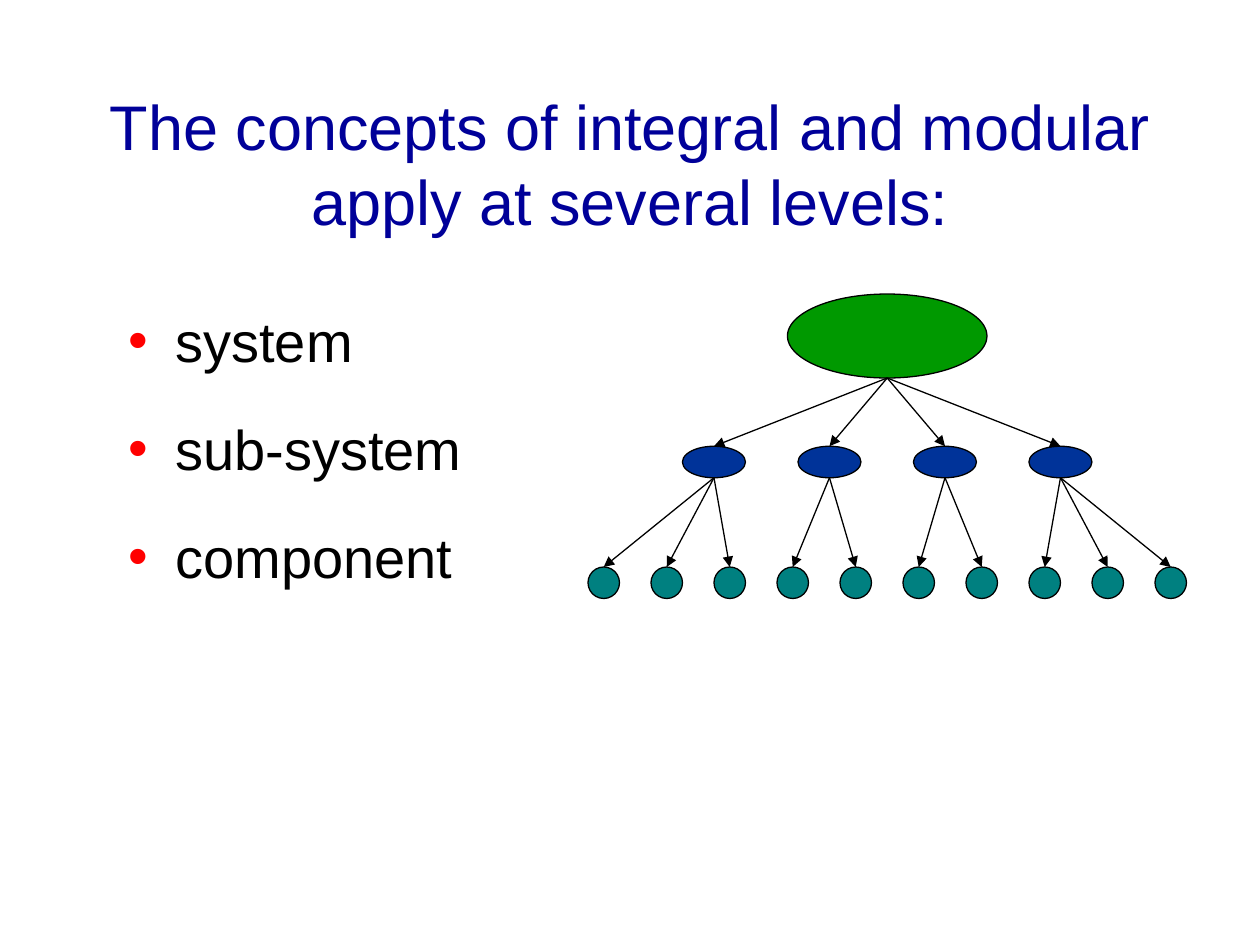
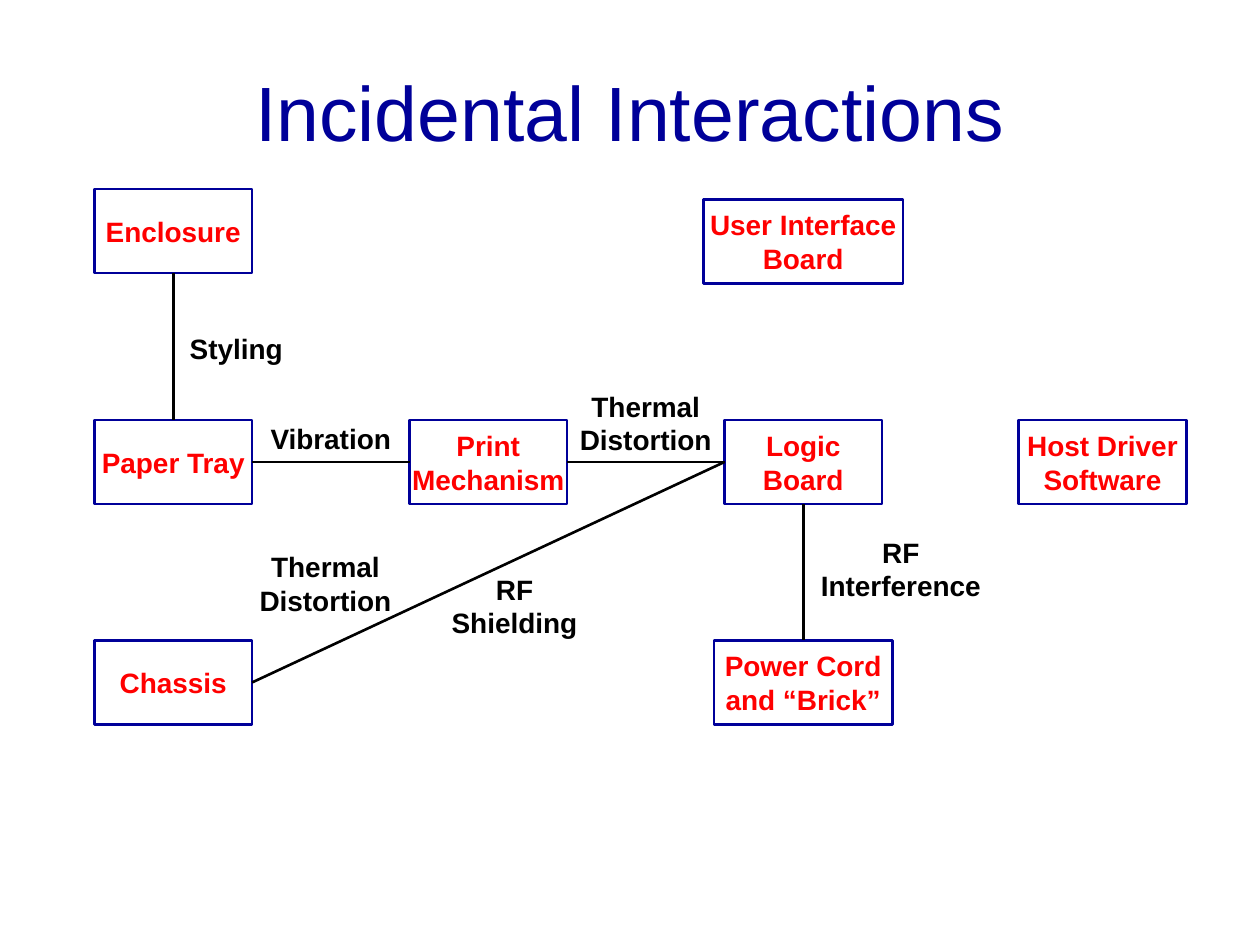
from dataclasses import dataclass
from itertools import count
from typing import Any, NamedTuple

from lxml.etree import SubElement
from pptx import Presentation
from pptx.dml.color import RGBColor
from pptx.enum.shapes import MSO_CONNECTOR, MSO_SHAPE
from pptx.enum.text import MSO_ANCHOR, MSO_AUTO_SIZE, PP_ALIGN
from pptx.oxml.ns import qn
from pptx.util import Inches, Length, Pt


@dataclass(frozen=True)
class Theme:
    font: str = "Arial"
    navy: str = "000099"
    red: str = "FF0000"
    black: str = "000000"
    green: str = "009900"
    blue: str = "003399"
    teal: str = "008080"
    title_size: int = 44
    long_title_size: int = 36
    list_size: int = 32
    label_size: int = 16
    thin: float = 0.75
    thick: float = 1.5


THEME = Theme()
WIDTH, HEIGHT = Inches(10), Inches(7.5)
COLUMNS, ROWS = 120, 90  # square cells, twelve to the inch


class Point(NamedTuple):
    column: float
    row: float


class Area(NamedTuple):
    column: float
    row: float
    columns: float
    rows: float

    def at(self, across: float, down: float) -> Point:
        """Point at a share of the width and height."""
        return Point(self.column + across * self.columns, self.row + down * self.rows)


TOP, BOTTOM, LEFT, RIGHT = (0.5, 0), (0.5, 1), (0, 0.5), (1, 0.5)


class Box(NamedTuple):
    text: str
    area: Area


class Link(NamedTuple):
    start: str
    start_side: tuple[float, float]
    end: str
    end_side: tuple[float, float]


# Levels of the product tree: one system, four sub-systems, their components
SYSTEM = Area(75, 28, 19, 8)
FIRST_SUBSYSTEM = Area(65, 42.5, 6, 3)
FIRST_COMPONENT = Area(56, 54, 3, 3)
SUBSYSTEM_PITCH, COMPONENT_PITCH = 11, 6
COMPONENTS_PER_SUBSYSTEM = (3, 2, 2, 3)

# Printer parts, the interactions between them, and their labels
PARTS = {
    "enclosure": Box("Enclosure", Area(9, 18, 15, 8)),
    "tray": Box("Paper Tray", Area(9, 40, 15, 8)),
    "chassis": Box("Chassis", Area(9, 61, 15, 8)),
    "print": Box("Print\nMechanism", Area(39, 40, 15, 8)),
    "interface": Box("User Interface\nBoard", Area(67, 19, 19, 8)),
    "logic": Box("Logic\nBoard", Area(69, 40, 15, 8)),
    "power": Box("Power Cord\nand “Brick”", Area(68, 61, 17, 8)),
    "driver": Box("Host Driver\nSoftware", Area(97, 40, 16, 8)),
}
LINKS = (
    Link("enclosure", BOTTOM, "tray", TOP),
    Link("logic", LEFT, "chassis", RIGHT),
    Link("logic", BOTTOM, "power", TOP),
    Link("tray", RIGHT, "print", LEFT),
    Link("logic", LEFT, "print", RIGHT),
)
LABELS = (
    Box("Styling", Area(16, 31, 13, 4.4)),
    Box("Vibration", Area(23.5, 39.6, 16, 4.4)),
    Box("Thermal Distortion", Area(23, 51.75, 16, 7.7)),
    Box("Thermal Distortion", Area(53.5, 36.5, 16, 7.7)),
    Box("RF Interference", Area(76.8, 50.4, 18, 7.7)),
    Box("RF Shielding", Area(41, 53.9, 16, 7.7)),
)


def across(columns: float) -> Length:
    return Length(round(WIDTH * columns / COLUMNS))


def down(rows: float) -> Length:
    return Length(round(HEIGHT * rows / ROWS))


def place(area: Area) -> tuple[Length, Length, Length, Length]:
    return across(area.column), down(area.row), across(area.columns), down(area.rows)


def apply(target: Any, values: dict[str, Any]) -> None:
    for name, value in values.items():
        setattr(target, name, value)


def move(shape: Any, area: Area) -> None:
    apply(shape, dict(zip(("left", "top", "width", "height"), place(area))))


def write(shape: Any, text: str, size: int, colour: str, bold: bool = False,
          frame: dict[str, Any] | None = None, para: dict[str, Any] | None = None) -> None:
    """Fill a shape with one paragraph per line of text."""
    text_frame = shape.text_frame
    text_frame.text = text
    apply(text_frame, frame or {})
    for paragraph in text_frame.paragraphs:
        apply(paragraph, {"alignment": PP_ALIGN.CENTER} | (para or {}))
        for span in paragraph.runs:
            apply(span.font, {"name": THEME.font, "size": Pt(size), "bold": bold})
            span.font.color.rgb = RGBColor.from_string(colour)


def style_line(shape: Any, colour: str, width: float) -> None:
    shape.line.color.rgb = RGBColor.from_string(colour)
    shape.line.width = Pt(width)


def add_title(page: Any, text: str, row: float, size: int) -> None:
    title = page.shapes.title
    move(title, Area(9, row, 102, 15))
    write(title, text, size, THEME.navy,
          frame={"vertical_anchor": MSO_ANCHOR.MIDDLE, "auto_size": MSO_AUTO_SIZE.NONE})


def add_list(page: Any, items: tuple[str, ...], area: Area) -> None:
    body = page.placeholders[1]
    move(body, area)
    write(body, "\n".join(items), THEME.list_size, THEME.black,
          frame={"auto_size": MSO_AUTO_SIZE.NONE, "vertical_anchor": MSO_ANCHOR.TOP},
          para={"alignment": PP_ALIGN.LEFT, "line_spacing": 1.4, "space_before": Pt(8)})
    for para in body.text_frame.paragraphs:
        properties = para._p.get_or_add_pPr()
        indent = across(4.5)
        properties.set("marL", str(indent))
        properties.set("indent", str(-indent))
        bullet_colour = SubElement(properties, qn("a:buClr"))
        SubElement(bullet_colour, qn("a:srgbClr"), val=THEME.red)
        SubElement(properties, qn("a:buFont"), typeface=THEME.font)
        SubElement(properties, qn("a:buChar"), char="•")


def add_line(page: Any, start: Point, end: Point, width: float, arrow: bool = False) -> None:
    line = page.shapes.add_connector(
        MSO_CONNECTOR.STRAIGHT,
        across(start.column), down(start.row), across(end.column), down(end.row))
    style_line(line, THEME.black, width)
    if arrow:
        SubElement(line.line._get_or_add_ln(), qn("a:tailEnd"), type="triangle")
    SubElement(line._element.spPr, qn("a:effectLst"))


def add_node(page: Any, area: Area, colour: str) -> None:
    node = page.shapes.add_shape(MSO_SHAPE.OVAL, *place(area))
    node.shadow.inherit = False
    node.fill.solid()
    node.fill.fore_color.rgb = RGBColor.from_string(colour)
    style_line(node, THEME.black, THEME.thin)


def add_part(page: Any, part: Box) -> None:
    box = page.shapes.add_shape(MSO_SHAPE.RECTANGLE, *place(part.area))
    box.shadow.inherit = False
    box.fill.background()
    style_line(box, THEME.navy, THEME.thick)
    write(box, part.text, THEME.label_size, THEME.red, bold=True,
          frame={"word_wrap": False, "vertical_anchor": MSO_ANCHOR.MIDDLE})


def add_label(page: Any, label: Box) -> None:
    box = page.shapes.add_textbox(*place(label.area))
    write(box, label.text, THEME.label_size, THEME.black, bold=True,
          frame={"word_wrap": True, "auto_size": MSO_AUTO_SIZE.SHAPE_TO_FIT_TEXT},
          para={"space_before": Pt(10)})


def shifted(area: Area, columns: float) -> Area:
    return area._replace(column=area.column + columns)


def build_levels(deck: Any) -> None:
    page = deck.slides.add_slide(deck.slide_layouts.get_by_name("Title and Content"))
    add_title(page, "The concepts of integral and modular apply at several levels:",
              8, THEME.long_title_size)
    add_list(page, ("system", "sub-system", "component"), Area(11, 26, 48, 32))

    # Tree, from the system down to the components
    add_node(page, SYSTEM, THEME.green)
    component_numbers = count()
    for number, children in enumerate(COMPONENTS_PER_SUBSYSTEM):
        subsystem = shifted(FIRST_SUBSYSTEM, number * SUBSYSTEM_PITCH)
        add_node(page, subsystem, THEME.blue)
        add_line(page, SYSTEM.at(*BOTTOM), subsystem.at(*TOP), THEME.thin, arrow=True)
        for _ in range(children):
            component = shifted(FIRST_COMPONENT, next(component_numbers) * COMPONENT_PITCH)
            add_node(page, component, THEME.teal)
            add_line(page, subsystem.at(*BOTTOM), component.at(*TOP), THEME.thin, arrow=True)


def build_interactions(deck: Any) -> None:
    page = deck.slides.add_slide(deck.slide_layouts.get_by_name("Title Only"))
    add_title(page, "Incidental Interactions", 3, THEME.title_size)
    for part in PARTS.values():
        add_part(page, part)
    for link in LINKS:
        add_line(page, PARTS[link.start].area.at(*link.start_side),
                 PARTS[link.end].area.at(*link.end_side), THEME.thick)
    for label in LABELS:
        add_label(page, label)


def main() -> None:
    deck = Presentation()
    apply(deck, {"slide_width": WIDTH, "slide_height": HEIGHT})
    build_levels(deck)
    build_interactions(deck)
    deck.save("out.pptx")


if __name__ == "__main__":
    main()
